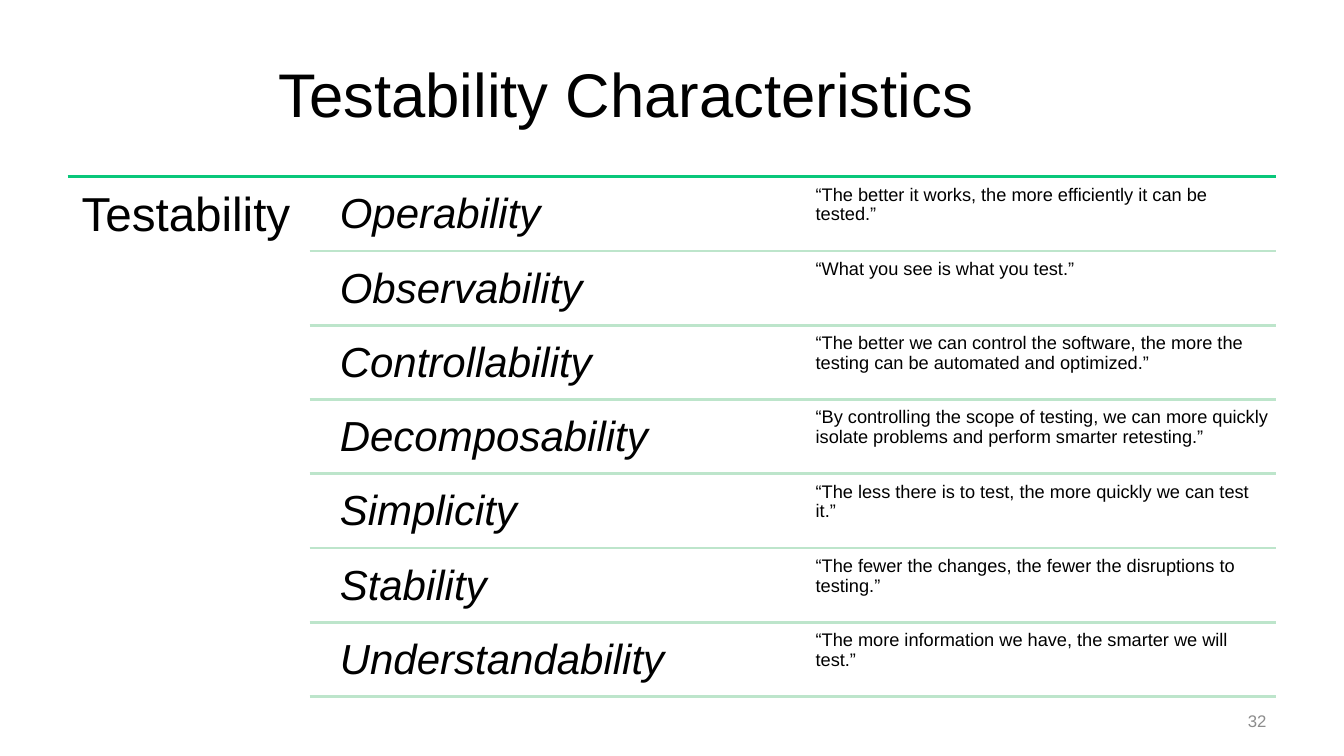
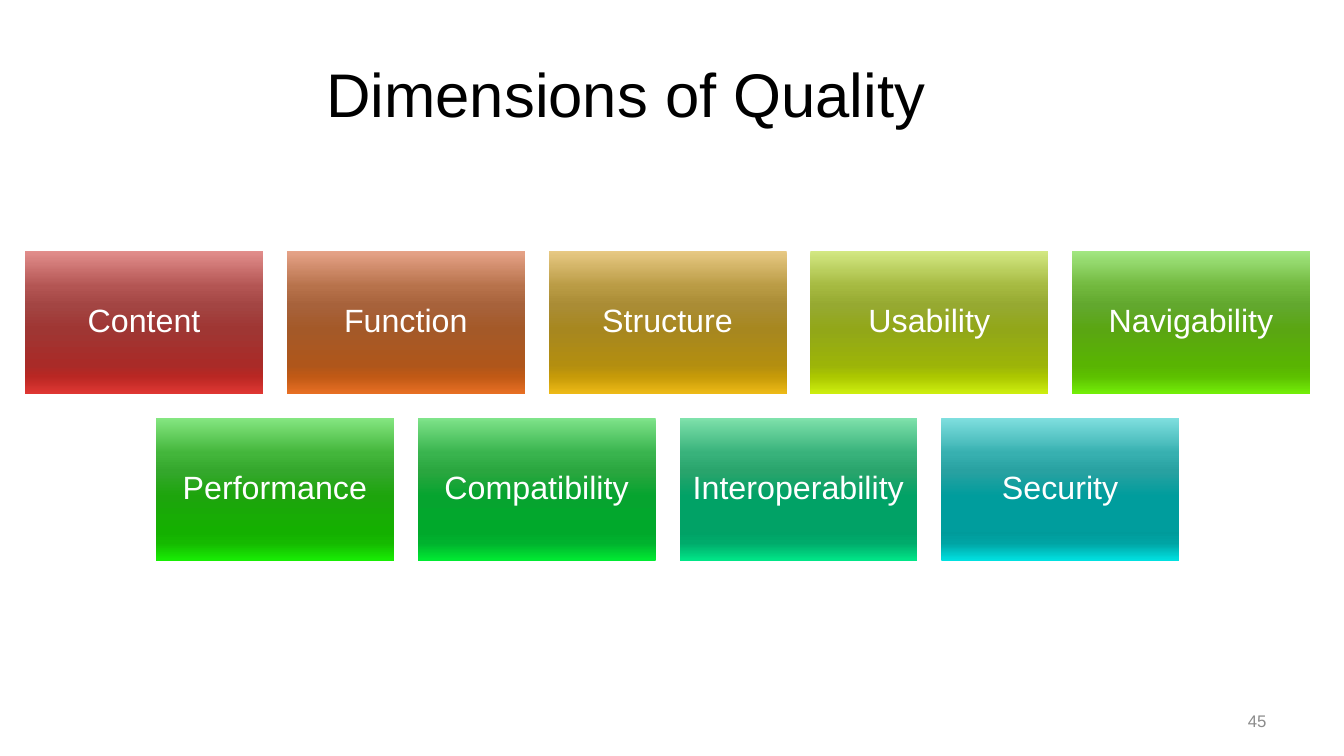
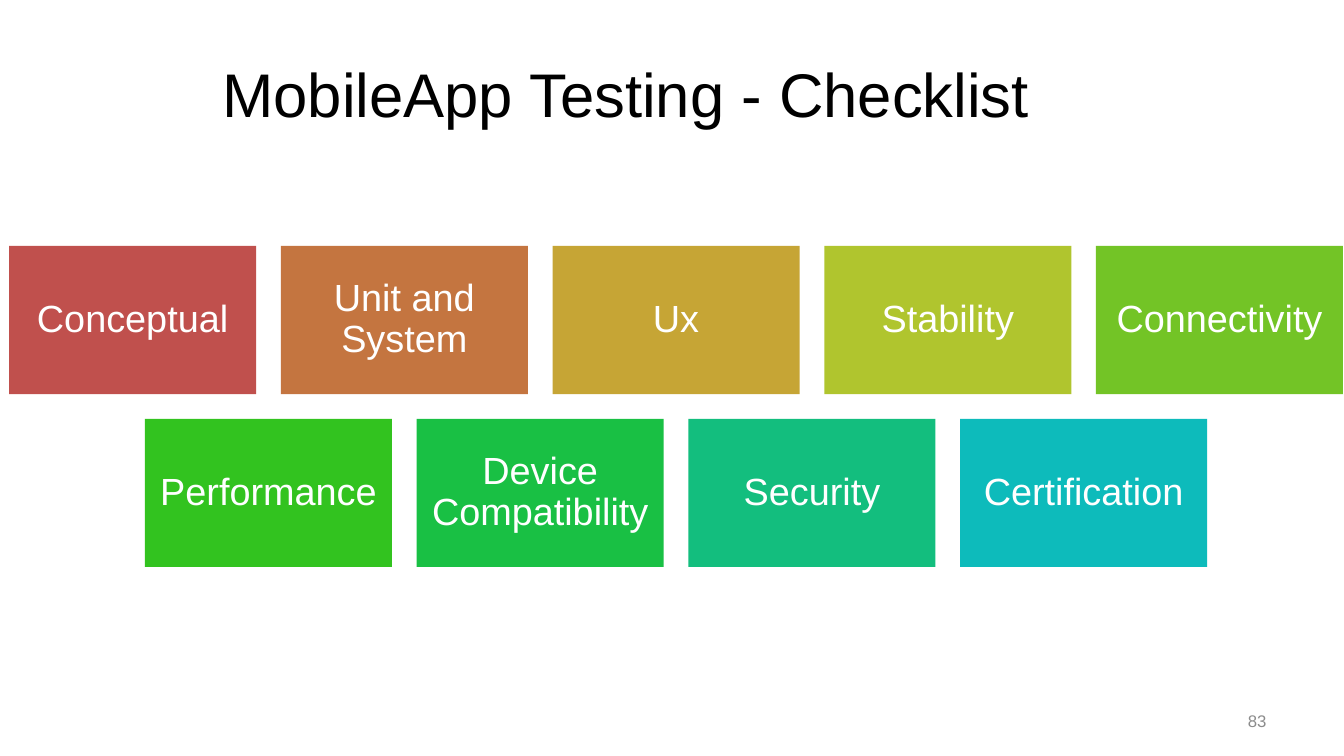
"""Build three slides on testability, quality dimensions and mobile app testing."""
import dataclasses

import lxml.etree
import pptx
import pptx.dml.color
import pptx.enum.shapes
import pptx.enum.text
import pptx.oxml.ns
import pptx.util

Inches = pptx.util.Inches
ALIGN = pptx.enum.text.PP_ALIGN
ANCHOR = pptx.enum.text.MSO_ANCHOR


@dataclasses.dataclass(frozen=True)
class Theme:
    font: str = "Arial"
    ink: str = "000000"
    paper: str = "FFFFFF"
    muted: str = "8C8C8C"
    top_rule: str = "09C77A"
    row_rule: str = "BDE5CB"
    rule_width: float = 2
    title_size: int = 44
    topic_size: int = 34
    trait_size: int = 30
    quote_size: int = 13
    number_size: int = 12
    line_spacing: float = 0.9


THEME = Theme()

TESTABILITY = {
    "title": "Testability Characteristics",
    "number": "32",
    "topic": "Testability",
    "traits": [
        ("Operability", "“The better it works, the more efficiently it can be tested.”"),
        ("Observability", "“What you see is what you test.”"),
        ("Controllability", "“The better we can control the software, the more the testing "
                            "can be automated and optimized.”"),
        ("Decomposability", "“By controlling the scope of testing, we can more quickly isolate "
                            "problems and perform smarter retesting.”"),
        ("Simplicity", "“The less there is to test, the more quickly we can test it.”"),
        ("Stability", "“The fewer the changes, the fewer the disruptions to testing.”"),
        ("Understandability", "“The more information we have, the smarter we will test.”"),
    ],
}

GRADIENT_STOPS = (0, 25, 38, 55, 80, 88, 100)

TILE_PAGES = [
    {
        "title": "Dimensions of Quality", "number": "45",
        "left": 0.25, "top": 2.49, "width": 2.36, "inset": 0.1, "size": 23,
        "tiles": [
            ("Content", "E28E8C B35553 A34543 9F3633 A92B28 B92723 DF3733"),
            ("Function", "E6A388 B7724B A7623B A45928 AF561B C05915 E76F24"),
            ("Structure", "E8C984 B99B44 AA8C35 A7871F B38E10 C69A08 EDBA17"),
            ("Usability", "D3E883 A5B940 96A931 92A718 9CB409 ABC700 CDEE0F"),
            ("Navigability", "A3E782 71B83D 62A82E 5AA612 59B402 5DC000 73EE08"),
            ("Performance", "85E681 43B63B 34A72C 1DA50C 14B000 15B900 18ED03"),
            ("Compatibility", "80E48B 39B44E 2AA63F 06A42F 00A92B 00B22E 00EA32"),
            ("Interoperability", "80E2AC 38B27B 29A46C 01A266 00A266 00AB6B 00E587"),
            ("Security", "81E0E0 37B0B0 28A1A1 009D9D 009B9B 00A4A4 00E0E0"),
        ],
    },
    {
        "title": "MobileApp Testing - Checklist", "number": "83",
        "left": 0.09, "top": 2.44, "width": 2.45, "inset": 0.11, "size": 27,
        "tiles": [
            ("Conceptual", "C0504D"), ("Unit and System", "C47540"), ("Ux", "C6A535"),
            ("Stability", "B0C52E"), ("Connectivity", "73C426"), ("Performance", "32C31F"),
            ("Device Compatibility", "19C044"), ("Security", "13BE7E"),
            ("Certification", "0DBBBB"),
        ],
    },
]

TILES_PER_ROW = 5
TILE_RATIO = 0.6
GAP_RATIO = 0.1

RIGHT_EDGE = 12.66
TOPIC_LEFT, RULE_LEFT, TRAIT_LEFT, QUOTE_LEFT = 0.67, 3.07, 3.25, 8.04
LIST_TOP, FIRST_ROW_TOP, LAST_ROW_TOP, ROW_HEIGHT = 1.75, 1.79, 6.21, 0.7
COLUMN_WIDTH = 4.62


def rgb(code):
    return pptx.dml.color.RGBColor.from_string(code)


def write(shape, text, size, color, align=ALIGN.LEFT, anchor=ANCHOR.TOP,
          inset=None, spacing=None, italic=None):
    frame = shape.text_frame
    frame.word_wrap = True
    frame.vertical_anchor = anchor
    if inset is not None:
        frame.margin_left = frame.margin_right = Inches(inset)
        frame.margin_top = frame.margin_bottom = Inches(inset)
    frame.text = text
    para = frame.paragraphs[0]
    para.alignment = align
    para.line_spacing = spacing
    font = para.runs[0].font
    font.name = THEME.font
    font.size = pptx.util.Pt(size)
    font.italic = italic
    font.color.rgb = rgb(color)


def add_text(page, left, top, width, height, text, size, color, **style):
    box = page.shapes.add_textbox(Inches(left), Inches(top), Inches(width), Inches(height))
    write(box, text, size, color, **style)


def add_rule(page, left, top, color):
    rule = page.shapes.add_connector(
        pptx.enum.shapes.MSO_CONNECTOR.STRAIGHT,
        Inches(left), Inches(top), Inches(RIGHT_EDGE), Inches(top))
    rule.line.color.rgb = rgb(color)
    rule.line.width = pptx.util.Pt(THEME.rule_width)
    lxml.etree.SubElement(rule.element.spPr, pptx.oxml.ns.qn("a:effectLst"))


def add_page(deck, layout, content):
    page = deck.slides.add_slide(layout)
    write(page.shapes.title, content["title"], THEME.title_size, THEME.ink,
          align=ALIGN.CENTER, anchor=ANCHOR.MIDDLE)
    add_text(page, 9.55, 6.95, 3.11, 0.4, content["number"], THEME.number_size,
             THEME.muted, align=ALIGN.RIGHT, anchor=ANCHOR.MIDDLE)
    return page


def fill_tile(tile, colors):
    if len(colors) == 1:
        tile.fill.solid()
        tile.fill.fore_color.rgb = rgb(colors[0])
        return
    qn = pptx.oxml.ns.qn
    tile.fill.gradient()
    tile.fill.gradient_angle = 270
    stops = tile.element.spPr.find(qn("a:gradFill")).find(qn("a:gsLst"))
    for stop in list(stops):
        stops.remove(stop)
    for position, color in zip(GRADIENT_STOPS, colors):
        stop = lxml.etree.SubElement(stops, qn("a:gs"), pos=str(position * 1000))
        lxml.etree.SubElement(stop, qn("a:srgbClr"), val=color)


def add_traits(page, content):
    add_rule(page, TOPIC_LEFT, LIST_TOP, THEME.top_rule)
    add_text(page, TOPIC_LEFT, LIST_TOP, RULE_LEFT - TOPIC_LEFT, 5.2, content["topic"],
             THEME.topic_size, THEME.ink, inset=0.14, spacing=THEME.line_spacing)
    traits = content["traits"]
    pitch = (LAST_ROW_TOP - FIRST_ROW_TOP) / (len(traits) - 1)
    for row, (trait, quote) in enumerate(traits):
        top = FIRST_ROW_TOP + row * pitch
        add_text(page, TRAIT_LEFT, top, COLUMN_WIDTH, ROW_HEIGHT, trait, THEME.trait_size,
                 THEME.ink, inset=0.12, spacing=THEME.line_spacing, italic=True)
        add_text(page, QUOTE_LEFT, top, COLUMN_WIDTH, ROW_HEIGHT, quote, THEME.quote_size,
                 THEME.ink, inset=0.05, spacing=THEME.line_spacing)
        add_rule(page, RULE_LEFT, top + ROW_HEIGHT, THEME.row_rule)


def add_tiles(page, content):
    tiles, width = content["tiles"], content["width"]
    height, gap = width * TILE_RATIO, width * GAP_RATIO
    for index, (label, colors) in enumerate(tiles):
        row, column = divmod(index, TILES_PER_ROW)
        row_count = min(TILES_PER_ROW, len(tiles) - row * TILES_PER_ROW)
        column += (TILES_PER_ROW - row_count) / 2
        tile = page.shapes.add_shape(
            pptx.enum.shapes.MSO_SHAPE.RECTANGLE,
            Inches(content["left"] + column * (width + gap)),
            Inches(content["top"] + row * (height + gap)),
            Inches(width), Inches(height))
        tile.shadow.inherit = False
        tile.line.fill.background()
        fill_tile(tile, colors.split())
        write(tile, label, content["size"], THEME.paper, align=ALIGN.CENTER,
              anchor=ANCHOR.MIDDLE, inset=content["inset"], spacing=THEME.line_spacing)


def main():
    deck = pptx.Presentation()
    deck.slide_width, deck.slide_height = Inches(13.33), Inches(7.5)
    layout = deck.slide_layouts.get_by_name("Title Only")
    title = layout.placeholders[0]
    title.left, title.top = Inches(0.67), Inches(0.3)
    title.width, title.height = Inches(11.08), Inches(1.25)
    add_traits(add_page(deck, layout, TESTABILITY), TESTABILITY)
    for content in TILE_PAGES:
        add_tiles(add_page(deck, layout, content), content)
    deck.save("out.pptx")


if __name__ == "__main__":
    main()
